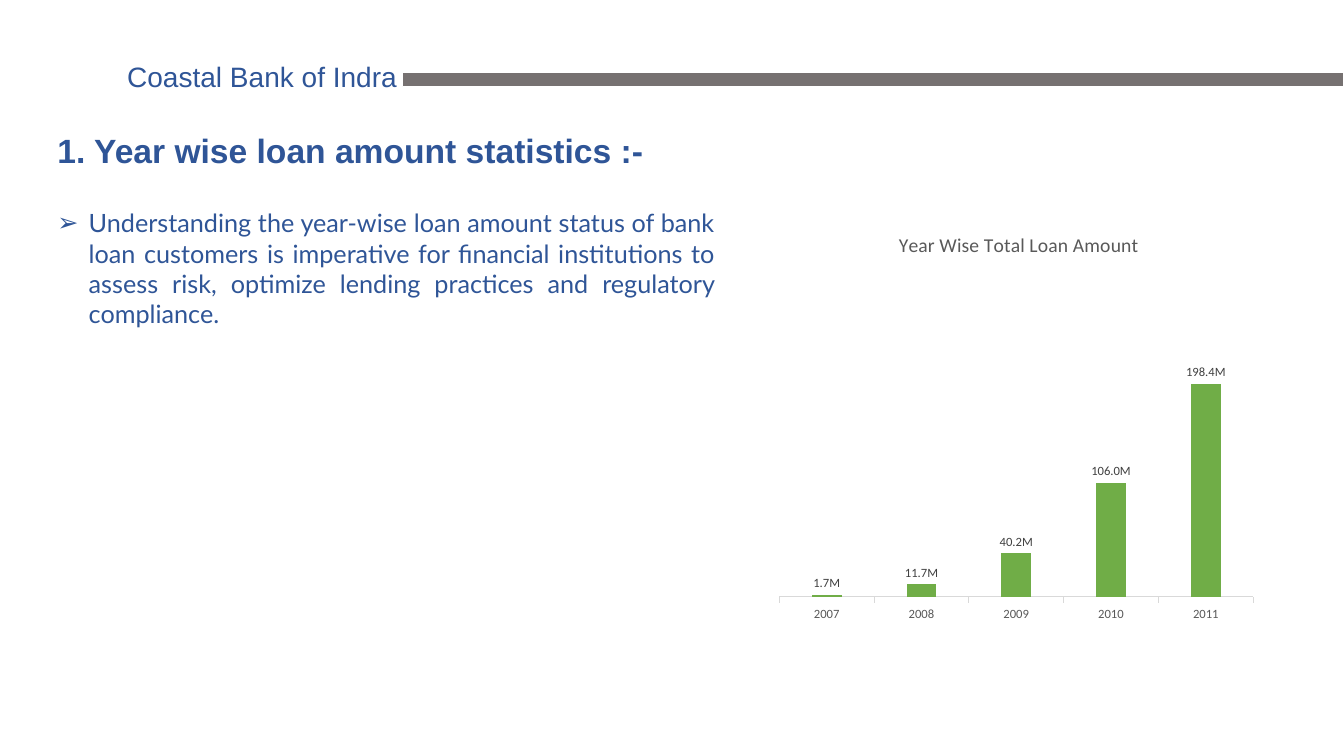
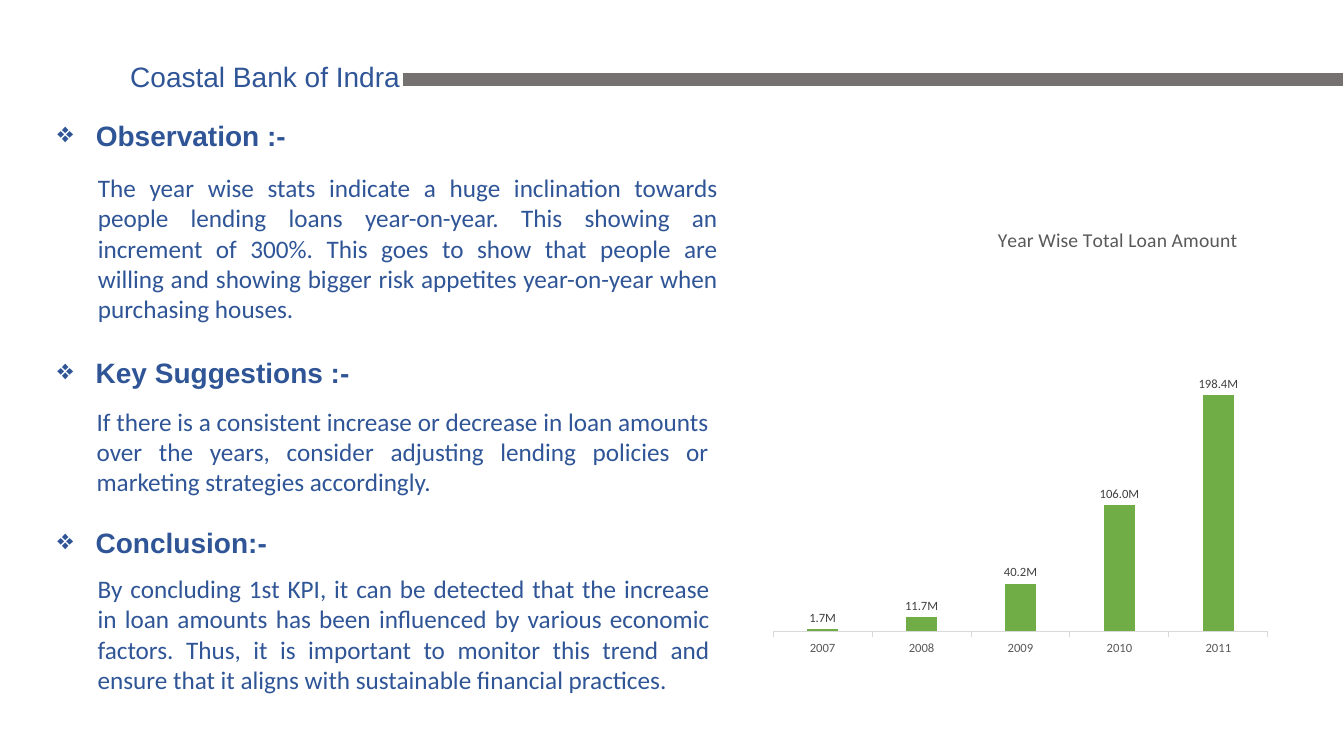
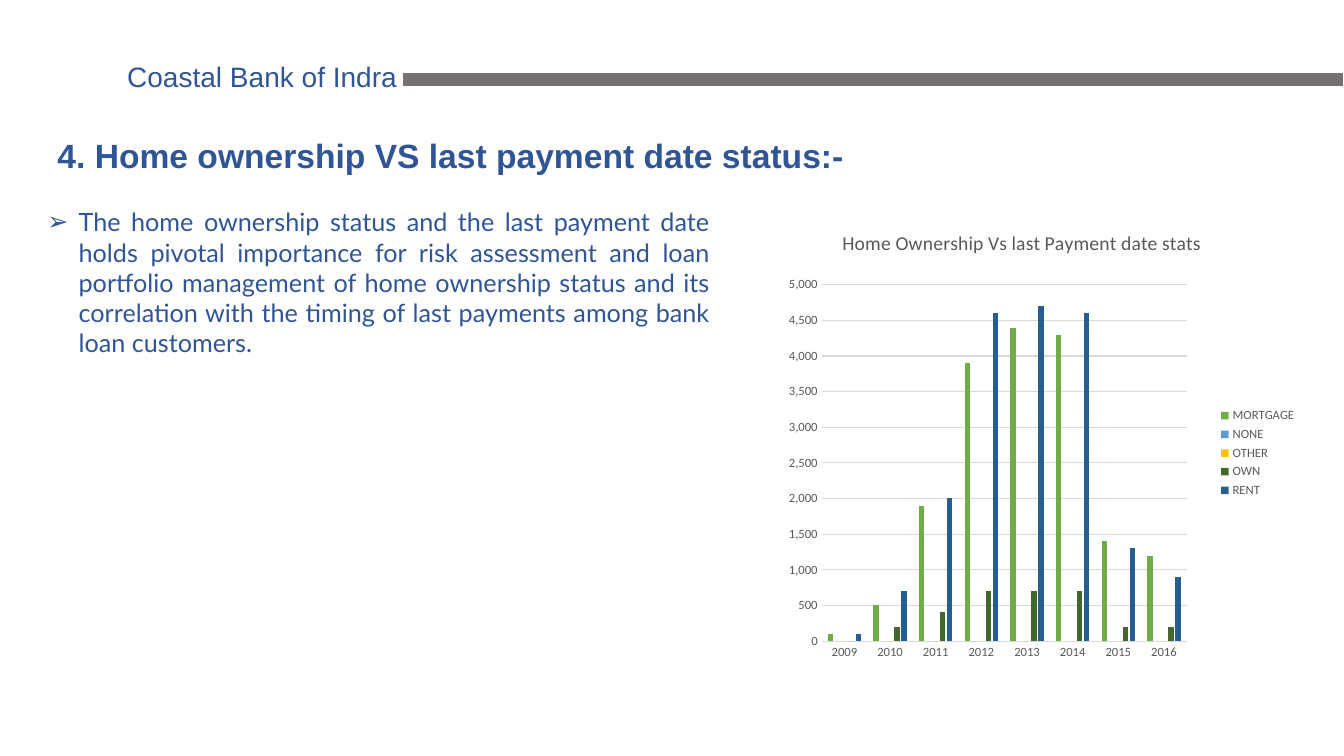
from pptx import Presentation
from pptx.chart.data import CategoryChartData
from pptx.dml.color import RGBColor
from pptx.enum.chart import XL_CHART_TYPE, XL_LABEL_POSITION, XL_LEGEND_POSITION, XL_TICK_MARK
from pptx.enum.shapes import MSO_SHAPE
from pptx.enum.text import MSO_ANCHOR, MSO_AUTO_SIZE, PP_ALIGN
from pptx.oxml import parse_xml
from pptx.oxml.ns import nsdecls, qn
from pptx.util import Inches, Pt

# Shared style
BLUE, GREY, WHITE, PALE = "2F5597", "767171", "FFFFFF", "D9D9D9"
DARK, SOFT = "404040", "595959"
BANK = "Coastal Bank of Indra"
HUES = ["70AD47", "5B9BD5", "FFC000", "43682B", "255E91"]
LEFT, MID, JUST = PP_ALIGN.LEFT, PP_ALIGN.CENTER, PP_ALIGN.JUSTIFY
hue = RGBColor.from_string


def write(shape, box, text, size, font, align=LEFT, bold=False, mark=None, hang=0, lead=1):
    """Place a text shape and fill it with one formatted paragraph."""
    shape.left, shape.top, shape.width, shape.height = [Inches(v) for v in box]
    frame = shape.text_frame
    frame.text = text
    frame.word_wrap = True
    frame.auto_size = MSO_AUTO_SIZE.NONE
    frame.vertical_anchor = MSO_ANCHOR.TOP
    para = frame.paragraphs[0]
    para.alignment = align
    para.line_spacing = lead
    para.space_before = Pt(0)
    face = para.runs[0].font
    face.name, face.size, face.bold = font, Pt(size), bold
    face.color.rgb = hue(BLUE)
    props = para._p.get_or_add_pPr()
    props.set("marL", str(Inches(hang)))
    props.set("indent", str(-Inches(hang)))
    tag = f'a:buChar {nsdecls("a")} char="{mark}"' if mark else f'a:buNone {nsdecls("a")}'
    props.append(parse_xml(f"<{tag}/>"))


def arrange(parent, index, target, **spots):
    """Give a chart part a manual layout in fractions of the chart."""
    for old in parent.findall(qn("c:layout")):
        parent.remove(old)
    tags = f'<c:layoutTarget val="{target}"/>' if target else ""
    tags += '<c:xMode val="edge"/><c:yMode val="edge"/>'
    tags += "".join(f'<c:{key} val="{val}"/>' for key, val in spots.items())
    parent.insert(index, parse_xml(
        f'<c:layout {nsdecls("c")}><c:manualLayout>{tags}</c:manualLayout></c:layout>'))


# Chart content
yearly = {
    "title": "Year Wise Total Loan Amount",
    "cats": ["2007", "2008", "2009", "2010", "2011"],
    "rows": {"Series 1": [1700000, 11700000, 40200000, 106000000, 198400000]},
    "plot": (0.04, 0.31, 0.94, 0.56), "top": 250000000,
}
owners = {
    "title": "Home Ownership Vs last Payment date stats",
    "cats": [str(year) for year in range(2009, 2017)],
    "rows": {
        "MORTGAGE": [100, 500, 1900, 3900, 4400, 4300, 1400, 1200],
        "NONE": [None, None, 0, 0, None, None, None, None],
        "OTHER": [0] * 8,
        "OWN": [0, 200, 400, 700, 700, 700, 200, 200],
        "RENT": [100, 700, 2000, 4600, 4700, 4600, 1300, 900],
    },
    "plot": (0.15, 0.16, 0.64, 0.72), "top": 5000,
}

# Heading and body looks: numbered topics and findings
topic = (dict(size=24, font="Arial", bold=True, lead=0.9),
         dict(size=18, font="Lato", align=JUST, mark="➢", hang=0.31))
point = (dict(size=20, font="Arial", bold=True, mark="❖", hang=0.38, lead=0.9),
         dict(size=18, font="Calibri", align=JUST))

# Slides: bank name left, looks, heading and body pairs, chart, its box, its title spot
pages = [
    (0.6, topic, [
        ((0.47, 1.28, 6.03, 0.56), "1. Year wise loan amount statistics :-",
         (0.47, 2.01, 6.72, 1.31),
         "Understanding the year-wise loan amount status of bank loan customers is imperative "
         "for financial institutions to assess risk, optimize lending practices and regulatory "
         "compliance."),
    ], yearly, (7.53, 1.78, 5, 4.76), (0.27, 0.1)),
    (0.63, point, [
        ((0.47, 1.16, 3.34, 0.36), "Observation :-",
         (0.87, 1.66, 6.35, 1.62),
         "The year wise stats indicate a huge inclination towards people lending loans "
         "year-on-year. This showing an increment of 300%. This goes to show that people are "
         "willing and showing bigger risk appetites year-on-year when purchasing houses."),
        ((0.47, 3.52, 4.59, 0.42), "Key Suggestions :-",
         (0.86, 3.98, 6.27, 1.31),
         "If there is a consistent increase or decrease in loan amounts over the years, "
         "consider adjusting lending policies or marketing strategies accordingly."),
        ((0.47, 5.2, 4.59, 0.42), "Conclusion:-",
         (0.87, 5.64, 6.27, 1.31),
         "By concluding 1st KPI, it can be detected that the increase in loan amounts has been "
         "influenced by various economic factors. Thus, it is important to monitor this trend "
         "and ensure that it aligns with sustainable financial practices."),
    ], yearly, (7.46, 1.68, 5.22, 5.27), (0.46, 0.1)),
    (0.6, topic, [
        ((0.47, 1.33, 8.19, 0.53), "4. Home ownership VS last payment date status:-",
         (0.37, 2, 6.77, 1.62),
         "The home ownership status and the last payment date holds pivotal importance for risk "
         "assessment and loan portfolio management of home ownership status and its correlation "
         "with the timing of last payments among bank loan customers."),
    ], owners, (7.3, 2.04, 5.66, 4.91), (0.18, 0.04)),
]

deck = Presentation()
deck.slide_width, deck.slide_height = Inches(13.33), Inches(7.5)

for left, looks, pairs, data, box, spot in pages:
    slide = deck.slides.add_slide(deck.slide_layouts[1])
    shapes = slide.shapes

    # Header: bank name and bar
    write(shapes.add_textbox(0, 0, 0, 0), (left, 0.58, 4, 0.77), BANK, 20, "Arial", MID, lead=0.9)
    bar = shapes.add_shape(MSO_SHAPE.RECTANGLE, Inches(3.99), Inches(0.72),
                           Inches(9.34), Inches(0.14))
    bar.shadow.inherit = False
    bar.fill.solid()
    bar.fill.fore_color.rgb = hue(GREY)
    bar.line.color.rgb = hue(WHITE)
    bar.line.width = Pt(1)

    # Headings and texts: the first pair fills the placeholders
    for num, (spot1, head, spot2, body) in enumerate(pairs):
        if num == 0:
            upper, lower = shapes.title, slide.placeholders[1]
        else:
            upper, lower = [shapes.add_textbox(0, 0, 0, 0) for look in looks]
        write(upper, spot1, head, **looks[0])
        write(lower, spot2, body, **looks[1])

    # Chart
    source = CategoryChartData()
    source.categories = data["cats"]
    for name, vals in data["rows"].items():
        source.add_series(name, vals)
    chart = shapes.add_chart(XL_CHART_TYPE.COLUMN_CLUSTERED,
                             *[Inches(v) for v in box], source).chart
    chart.font.name, chart.font.size = "Calibri", Pt(9)
    chart.font.color.rgb = hue(SOFT)
    plot = chart.plots[0]
    plot.gap_width, plot.overlap, plot.vary_by_categories = 219, -27, False
    for row, tint in zip(plot.series, HUES):
        row.format.fill.solid()
        row.format.fill.fore_color.rgb = hue(tint)

    # Chart title and plot area
    frame = chart.chart_title.text_frame
    frame.text = data["title"]
    face = frame.paragraphs[0].runs[0].font
    face.name, face.size, face.bold = "Calibri", Pt(14), False
    face.color.rgb = hue(SOFT)
    arrange(chart.chart_title._element, 1, None, x=spot[0], y=spot[1])
    arrange(chart._chartSpace.chart.plotArea, 0, "inner", **dict(zip("xywh", data["plot"])))

    # Axes
    base, scale = chart.category_axis, chart.value_axis
    base.format.line.color.rgb = hue(PALE)
    base.format.line.width = Pt(0.75)
    scale.minimum_scale, scale.maximum_scale = 0, data["top"]
    single = len(data["rows"]) == 1
    base.major_tick_mark = XL_TICK_MARK.OUTSIDE if single else XL_TICK_MARK.NONE
    scale.has_major_gridlines = not single
    chart.has_legend = not single

    if single:
        # Labels in place of the value axis
        scale.visible = False
        labels = plot.series[0].data_labels
        labels.show_value = True
        labels.position = XL_LABEL_POSITION.OUTSIDE_END
        labels.number_format, labels.number_format_is_linked = '0.0,,"M"', False
        labels.font.name, labels.font.size = "Calibri", Pt(9)
        labels.font.color.rgb = hue(DARK)
    else:
        # Value axis, grid and legend
        scale.major_unit = 500
        scale.major_tick_mark = XL_TICK_MARK.NONE
        scale.format.line.fill.background()
        labels = scale.tick_labels
        labels.number_format, labels.number_format_is_linked = "#,##0", False
        grid = scale.major_gridlines.format.line
        grid.color.rgb = hue(PALE)
        grid.width = Pt(0.75)
        chart.legend.position = XL_LEGEND_POSITION.RIGHT
        chart.legend.include_in_layout = False

deck.save("out.pptx")
